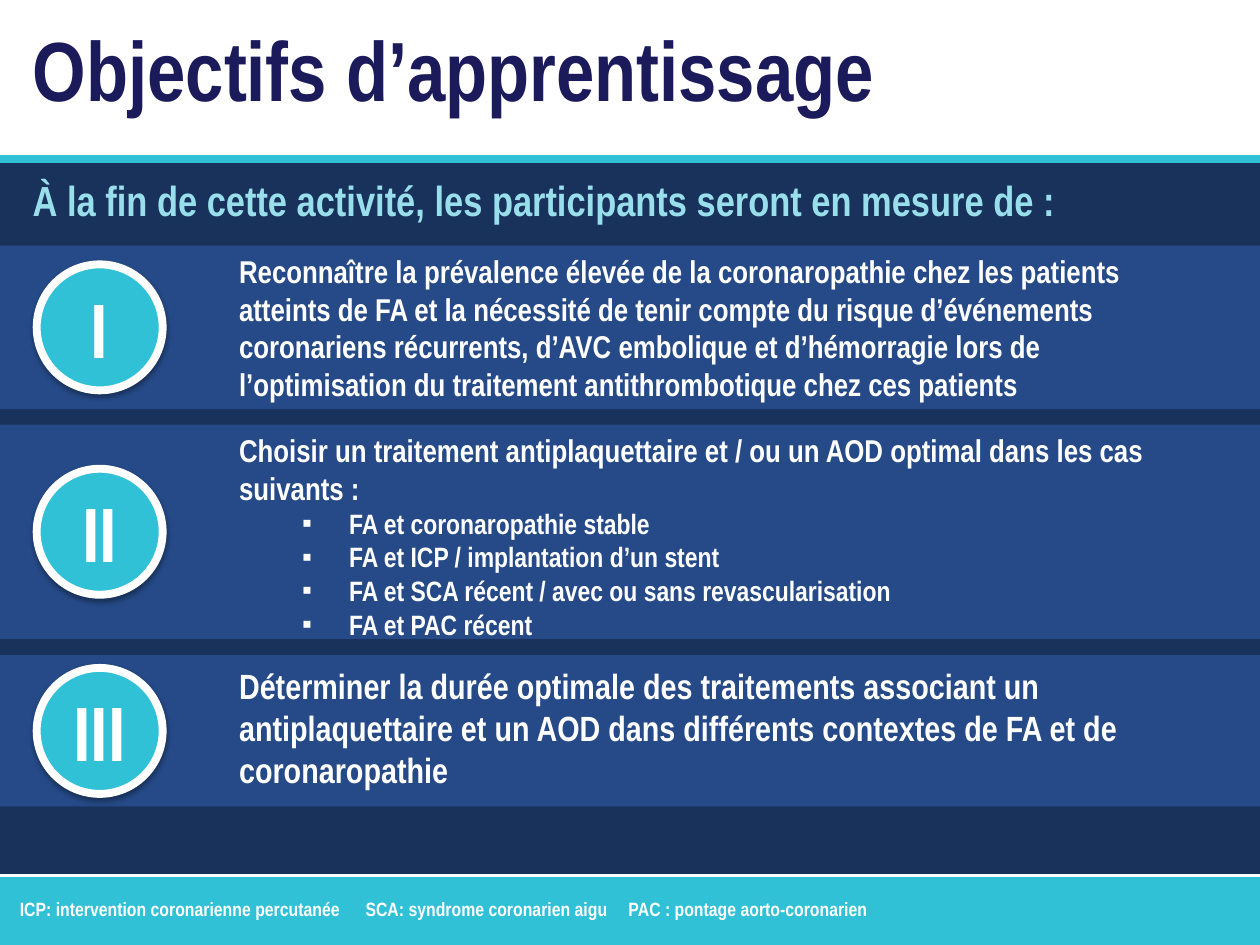
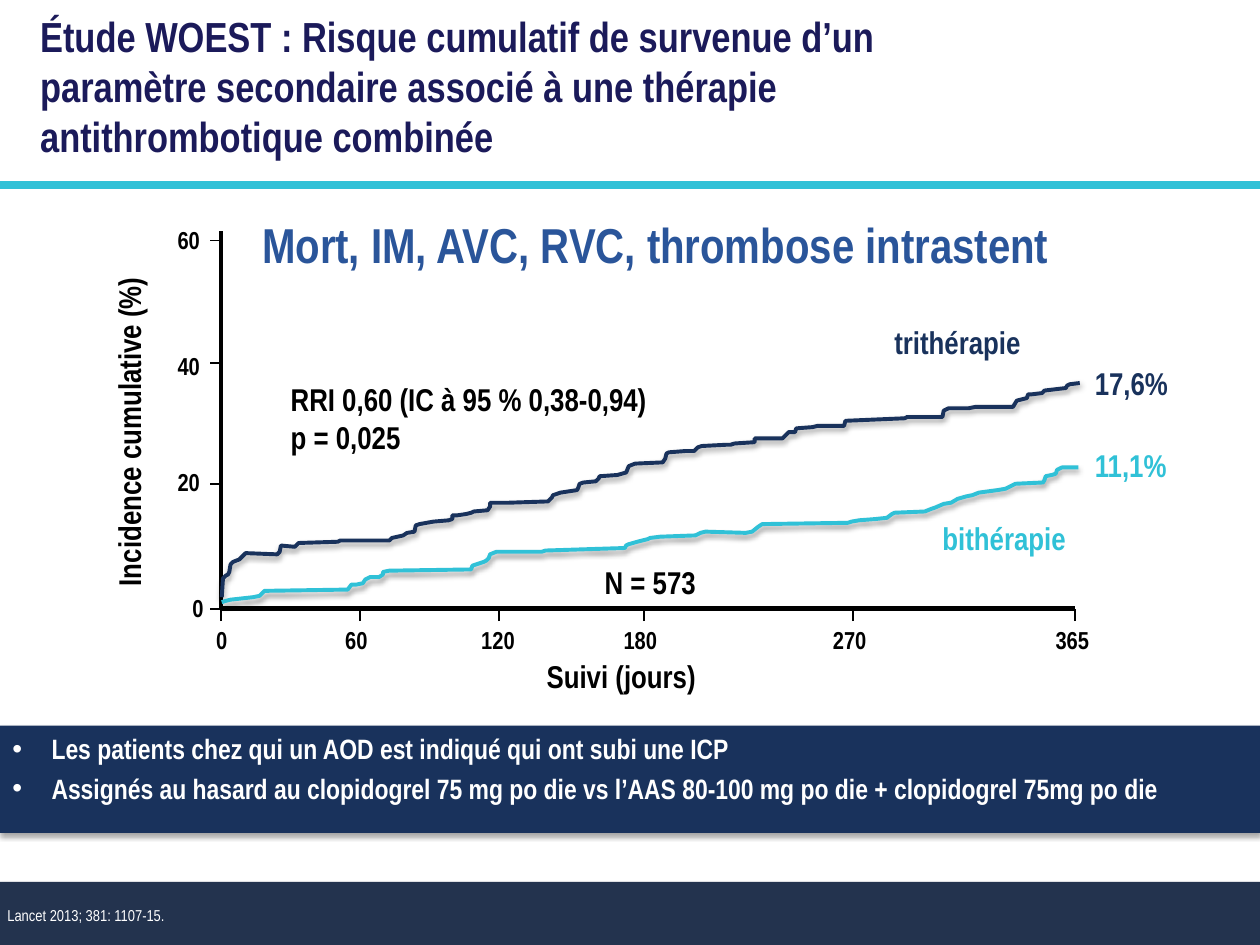
from lxml.etree import SubElement
from pptx import Presentation
from pptx.dml.color import RGBColor
from pptx.enum.shapes import MSO_CONNECTOR, MSO_SHAPE
from pptx.enum.text import MSO_ANCHOR, MSO_AUTO_SIZE, PP_ALIGN
from pptx.oxml.ns import qn
from pptx.util import Cm, Pt

FONT = "Arial Narrow"
WHITE, BLACK = "FFFFFF", "000000"
NAVY, TITLE, CYAN = "19325C", "1B1A5A", "30C1D7"
ROW, PALE, HEADING, SLATE = "254A87", "99DFEB", "2A559A", "23334E"
WIDTH, HEIGHT = 25.4, 19.05

OBJECTIVES = [
    ("I", 4.95, 3.3, (4.95, 20.09, 3.43), 18,
     "Reconnaître la prévalence élevée de la coronaropathie chez les patients "
     "atteints de FA et la nécessité de tenir compte du risque d’événements "
     "coronariens récurrents, d’AVC embolique et d’hémorragie lors de "
     "l’optimisation du traitement antithrombotique chez ces patients", []),
    ("II", 8.56, 4.32, (8.56, 20.62, 4.52), 18,
     "Choisir un traitement antiplaquettaire et / ou un AOD optimal dans les cas suivants :",
     ["FA et coronaropathie stable",
      "FA et ICP / implantation d’un stent",
      "FA et SCA récent / avec ou sans revascularisation",
      "FA et PAC récent"]),
    ("III", 13.21, 3.05, (13.28, 20.09, 2.82), 20,
     "Déterminer la durée optimale des traitements associant un antiplaquettaire "
     "et un AOD dans différents contextes de FA et de coronaropathie", []),
]

INCIDENCE_TICKS = [("60", 4.85, 3.33, 4.42), ("40", 7.32, 3.33, 6.96),
                   ("20", 9.75, 3.33, 9.3), ("0", 12.27, 3.63, 11.84)]
DAY_TICKS = [("0", 4.45, 4.11), ("60", 7.26, 6.71), ("120", 10.06, 9.45),
             ("180", 12.98, 12.32), ("270", 17.2, 16.54), ("365", 21.67, 21.03)]
LABEL_WIDTHS = {1: 0.74, 2: 1.14, 3: 1.35}

CHART_LABELS = [
    ("Suivi (jours)", 10.77, 13.13, 3.56, BLACK),
    ("bithérapie", 18.75, 10.34, 3.02, CYAN),
    ("trithérapie", 17.78, 6.38, 3.1, NAVY),
    ("17,6%", 21.82, 7.21, 2.01, NAVY),
    ("11,1%", 21.82, 8.86, 2.01, CYAN),
    ("N = 573", 11.94, 11.23, 2.36, BLACK),
]

CURVE_UNIT = Cm(0.0254)
TRIPLE_THERAPY = [
    (176, 474), (177, 459), (179, 457), (181, 456), (182, 454), (183, 448),
    (185, 446), (190, 444), (195, 439), (220, 440), (222, 438), (223, 433),
    (234, 434), (237, 431), (268, 430), (270, 429), (309, 429), (311, 427),
    (320, 425), (323, 423), (329, 422), (330, 417), (333, 416), (344, 414),
    (356, 413), (359, 412), (359, 409), (363, 409), (370, 408), (374, 407),
    (376, 406), (387, 405), (389, 402), (389, 399), (404, 399), (435, 398),
    (438, 395), (439, 393), (445, 391), (458, 389), (459, 387), (460, 384),
    (463, 383), (473, 382), (475, 380), (476, 378), (490, 377), (497, 375),
    (499, 370), (504, 368), (526, 367), (528, 364), (529, 360), (531, 359),
    (544, 358), (551, 358), (554, 355), (557, 354), (577, 353), (580, 353),
    (583, 352), (599, 351), (599, 348), (602, 348), (621, 348), (626, 343),
    (631, 343), (632, 340), (645, 339), (649, 338), (670, 338), (671, 334),
    (718, 332), (720, 331), (748, 331), (749, 326), (753, 324), (769, 324),
    (774, 323), (804, 323), (807, 318), (811, 317), (815, 316), (816, 313),
    (819, 313), (827, 312), (829, 310), (846, 308), (847, 306), (849, 305),
    (857, 304),
]
DUAL_THERAPY = [
    (176, 478), (179, 477), (183, 476), (201, 474), (206, 473), (210, 469),
    (276, 468), (279, 464), (283, 464), (288, 463), (290, 460), (294, 458),
    (301, 458), (304, 456), (304, 454), (309, 453), (374, 452), (375, 449),
    (384, 446), (386, 445), (388, 443), (389, 440), (394, 438), (430, 438),
    (433, 437), (496, 435), (497, 433), (499, 432), (506, 430), (514, 428),
    (516, 427), (524, 426), (552, 425), (556, 423), (560, 422), (592, 423),
    (597, 422), (602, 418), (605, 416), (673, 415), (676, 414), (682, 413),
    (695, 412), (704, 411), (708, 408), (710, 407), (734, 406), (739, 404),
    (742, 403), (749, 400), (755, 399), (760, 396), (767, 394), (772, 393),
    (777, 391), (792, 389), (798, 388), (806, 384), (828, 383), (829, 381),
    (830, 378), (835, 377), (838, 376), (839, 373), (843, 371), (855, 371),
    (856, 371),
]


def color(value):
    return RGBColor.from_string(value)


def add_shadow(shape, alpha=35, distance=1.8):
    effects = shape._element.spPr.find(qn("a:effectLst"))
    shadow = SubElement(effects, qn("a:outerShdw"), blurRad=str(Pt(3.1)),
                        dist=str(Pt(distance)), dir="5400000", rotWithShape="0")
    shade = SubElement(shadow, qn("a:srgbClr"), val=BLACK)
    SubElement(shade, qn("a:alpha"), val=str(alpha * 1000))


class Deck:
    def __init__(self):
        self.presentation = Presentation()
        self.presentation.slide_width = Cm(WIDTH)
        self.presentation.slide_height = Cm(HEIGHT)
        self.slide = None

    def new_slide(self):
        self.slide = self.presentation.slides.add_slide(self.presentation.slide_layouts[6])

    def shape(self, kind, left, top, width, height, fill, outline=None, shadow=False):
        shape = self.slide.shapes.add_shape(kind, Cm(left), Cm(top), Cm(width), Cm(height))
        shape.shadow.inherit = False
        shape.fill.solid()
        shape.fill.fore_color.rgb = color(fill)
        if outline:
            shape.line.color.rgb = color(outline)
            shape.line.width = Pt(4.5)
        else:
            shape.line.fill.background()
        if shadow:
            add_shadow(shape)
        return shape

    def band(self, top, height, fill, shadow=False):
        return self.shape(MSO_SHAPE.RECTANGLE, 0, top, WIDTH, height, fill, shadow=shadow)

    def line(self, start, end, stroke, weight):
        connector = self.slide.shapes.add_connector(
            MSO_CONNECTOR.STRAIGHT, Cm(start[0]), Cm(start[1]), Cm(end[0]), Cm(end[1]))
        connector.line.color.rgb = color(stroke)
        connector.line.width = Pt(weight)
        SubElement(connector._element.spPr, qn("a:effectLst"))

    def rule(self, top, stroke=CYAN, weight=4.5):
        self.line((0, top), (WIDTH, top), stroke, weight)

    def curve(self, points, stroke):
        builder = self.slide.shapes.build_freeform(*points[0], scale=CURVE_UNIT)
        builder.add_line_segments(points[1:], close=False)
        shape = builder.convert_to_shape()
        shape.fill.background()
        shape.line.color.rgb = color(stroke)
        shape.line.width = Pt(2.25)
        shape.shadow.inherit = False
        add_shadow(shape, alpha=38, distance=1.6)

    def paragraph(self, frame, text, size, ink, bold=True, first=True, align=PP_ALIGN.LEFT):
        paragraph = frame.paragraphs[0] if first else frame.add_paragraph()
        paragraph.alignment = align
        run = paragraph.add_run()
        run.text = text
        run.font.name = FONT
        run.font.size = Pt(size)
        run.font.bold = bold
        run.font.color.rgb = color(ink)
        return paragraph

    def bullet(self, paragraph, mark, margin, hanging):
        properties = paragraph._p.get_or_add_pPr()
        properties.set("marL", str(Cm(margin)))
        properties.set("indent", str(-Cm(hanging)))
        SubElement(properties, qn("a:buFont"), typeface="Arial")
        SubElement(properties, qn("a:buChar"), char=mark)

    def text(self, text, left, top, width, height, size, ink,
             wrap=True, grow=True, bold=True, align=PP_ALIGN.LEFT):
        box = self.slide.shapes.add_textbox(Cm(left), Cm(top), Cm(width), Cm(height))
        frame = box.text_frame
        frame.word_wrap = wrap
        frame.auto_size = MSO_AUTO_SIZE.SHAPE_TO_FIT_TEXT if grow else MSO_AUTO_SIZE.NONE
        self.paragraph(frame, text, size, ink, bold, align=align)
        return box

    def badge(self, numeral, middle):
        diameter = 2.54
        shape = self.shape(MSO_SHAPE.FLOWCHART_CONNECTOR, 0.74, middle - diameter / 2,
                           diameter, diameter, CYAN, WHITE, shadow=True)
        shape.text_frame.vertical_anchor = MSO_ANCHOR.MIDDLE
        self.paragraph(shape.text_frame, numeral, 44, WHITE, align=PP_ALIGN.CENTER)

    def objective(self, numeral, top, height, text_place, size, statement, cases):
        self.band(top, height, ROW)
        self.badge(numeral, top + height / 2)
        box = self.text(statement, 4.57, *text_place, size, WHITE)
        for case in cases:
            paragraph = self.paragraph(box.text_frame, case, 16, WHITE, first=False)
            paragraph.level = 1
            self.bullet(paragraph, "▪", 2.22, 0.95)


def build_objectives(deck):
    deck.new_slide()
    deck.band(3.2, 14.48, NAVY)
    deck.band(17.68, 1.37, CYAN, shadow=True)
    deck.rule(3.2)
    deck.rule(17.65, WHITE, 1.5)
    for objective in OBJECTIVES:
        deck.objective(*objective)
    deck.text("Objectifs d’apprentissage", 0.41, 0.23, 22.4, 2.31, 48, TITLE)
    deck.text("À la fin de cette activité, les participants seront en mesure de :",
              0.41, 3.4, 24.79, 1.27, 24, PALE, grow=False)
    abbreviations = deck.text(
        "ICP: intervention coronarienne percutanée\tSCA: syndrome coronarien aigu"
        "\tPAC : pontage aorto-coronarien", 0.15, 17.96, 21.36, 0.74, 11, WHITE)
    properties = abbreviations.text_frame.paragraphs[0]._p.get_or_add_pPr()
    stops = SubElement(properties, qn("a:tabLst"))
    for position in (6.97, 12.27):
        SubElement(stops, qn("a:tab"), pos=str(Cm(position)), algn="l")


def build_axes(deck):
    origin_x, origin_y = 4.45, 12.27
    deck.line((origin_x, origin_y), (origin_x, 4.65), BLACK, 2.5)
    deck.line((origin_x, origin_y), (21.67, origin_y), BLACK, 2.5)
    for label, tick, left, top in INCIDENCE_TICKS:
        deck.line((4.24, tick), (4.5, tick), BLACK, 1)
        deck.text(label, left, top, 0.97 if len(label) == 2 else 0.74, 0.86,
                  14, BLACK, wrap=False)
    for label, tick, left in DAY_TICKS:
        deck.line((tick, 12.52), (tick, origin_y), BLACK, 1)
        deck.text(label, left, 12.47, LABEL_WIDTHS[len(label)], 0.86, 14, BLACK)
    axis_title = deck.text("Incidence cumulative (%)", -0.81, 8.15, 6.81, 1.02,
                           18, BLACK, wrap=False)
    axis_title.rotation = 270


def build_woest(deck):
    deck.new_slide()
    deck.band(17.78, 1.27, SLATE, shadow=True)
    deck.rule(3.73)
    deck.text("Étude WOEST : Risque cumulatif de survenue d’un paramètre secondaire "
              "associé à une thérapie antithrombotique combinée",
              0.56, 0.08, 18.67, 3.33, 24, TITLE)
    source = deck.text("Lancet 2013; 381: 1107-15.", 0.15, 17.91, 17.86, 1.07,
                       9, WHITE, grow=False, bold=False).text_frame
    source.vertical_anchor = MSO_ANCHOR.MIDDLE
    source.margin_left = source.margin_right = source.margin_top = source.margin_bottom = 0
    deck.text("Mort, IM, AVC, RVC, thrombose intrastent", 4.6, 4.19, 17.22, 1.45,
              28, HEADING, align=PP_ALIGN.CENTER)

    patients = deck.band(14.63, 2.16, NAVY, shadow=True).text_frame
    patients.vertical_anchor = MSO_ANCHOR.TOP
    deck.bullet(deck.paragraph(
        patients, "Les patients chez qui un AOD est indiqué qui ont subi une ICP",
        16, WHITE), "•", 0.79, 0.79)
    assignment = deck.paragraph(
        patients, "Assignés au hasard au clopidogrel 75 mg po die vs l’AAS 80-100 mg "
        "po die + clopidogrel 75mg po die", 16, WHITE, first=False)
    deck.bullet(assignment, "•", 0.79, 0.79)
    assignment.space_before = Pt(3.2)

    build_axes(deck)
    result = deck.text("RRI 0,60 (IC à 95 % 0,38-0,94)", 5.61, 7.54, 7.92, 1.8,
                       18, BLACK, wrap=False)
    deck.paragraph(result.text_frame, "p = 0,025", 18, BLACK, first=False)
    deck.curve(TRIPLE_THERAPY, NAVY)
    deck.curve(DUAL_THERAPY, CYAN)
    for label, left, top, width, ink in CHART_LABELS:
        deck.text(label, left, top, width, 1.02, 18, ink, wrap=False)


def main():
    deck = Deck()
    build_objectives(deck)
    build_woest(deck)
    deck.presentation.save("out.pptx")


if __name__ == "__main__":
    main()
